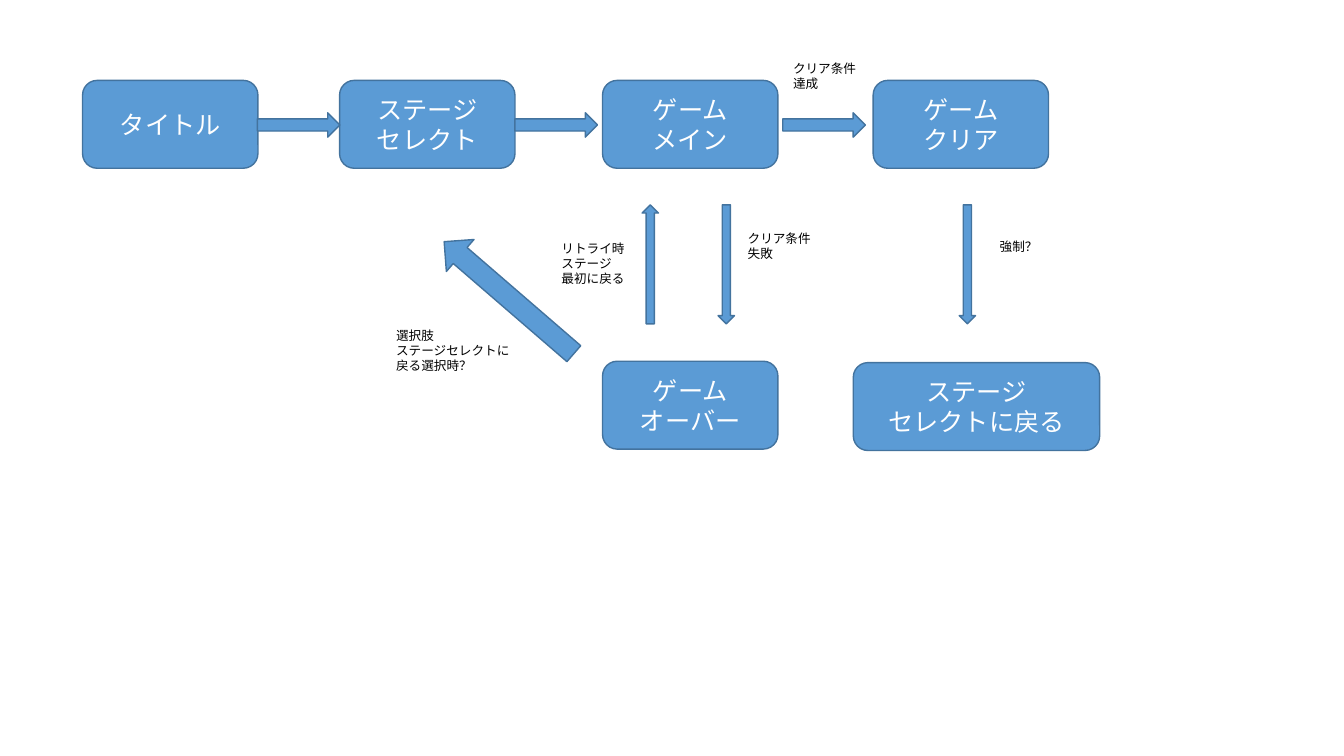
from dataclasses import dataclass

from lxml import etree
from pptx import Presentation
from pptx import util as u
from pptx.dml.color import RGBColor
from pptx.enum import shapes, text
from pptx.oxml import ns

Pt = u.Pt
FONT = "Noto Sans CJK JP"
BLUE, EDGE, WHITE, BLACK = "5B9BD5", "43739E", "FFFFFF", "000000"
BOX_W, BOX_H = 125.3, 62.8
TOP_ROW = 57.4
ARROW_ROW = TOP_ROW + BOX_H / 2 + 0.5
VERTICAL_ROW = 188.8


@dataclass
class Screen:
    label: str
    x: float
    y: float = TOP_ROW
    w: float = BOX_W


@dataclass
class Arrow:
    """A right arrow placed by its centre."""
    cx: float
    cy: float = ARROW_ROW
    length: float = 59
    thick: float = 17.4
    angle: float = 0


@dataclass
class Note:
    label: str
    x: float
    y: float
    h: float
    w: float = 64.8


def vertical(cx: float, angle: float) -> Arrow:
    return Arrow(cx, VERTICAL_ROW, 85, 11.7, angle)


SCREENS = [
    Screen("タイトル", 59),
    Screen("ステージ\nセレクト", 242.6),
    Screen("ゲーム\nメイン", 430.4),
    Screen("ゲーム\nオーバー", 430.4, 258),
    Screen("ゲーム\nクリア", 623.7),
    Screen("ステージ\nセレクトに戻る", 609.5, 259, 176),
]
ARROWS = [
    Arrow(213.3), Arrow(397.3), Arrow(588.6),
    vertical(518.8, 90), vertical(464.5, 270),
    Arrow(363.6, 212.6, 122.4, 30.2, 220.8),
    vertical(691, 90),
]
NOTES = [
    Note("クリア条件達成", 559.4, 39.6, 44.6),
    Note("強制？", 707, 167.4, 28.1),
    Note("クリア条件失敗", 527, 161.5, 44.6),
    Note("リトライ時\nステージ\n最初に戻る", 394, 168.5, 61.2),
    Note("選択肢\nステージセレクトに戻る選択時？", 275.9, 230.5, 61.2, 100),
]


def color(value: str) -> RGBColor:
    return RGBColor.from_string(value)


def write(tf, label: str, size: float, ink: str, align) -> None:
    tf.text = label
    tf.word_wrap = True
    for p in tf.paragraphs:
        p.alignment = align
        for r in p.runs:
            r.font.size = Pt(size)
            r.font.color.rgb = color(ink)
            r.font.name = FONT
            # East Asian typeface
            ea = etree.SubElement(r.font._element, ns.qn("a:ea"))
            ea.set("typeface", FONT)


def add_blue(s, kind, x: float, y: float, w: float, h: float):
    sp = s.shapes.add_shape(kind, Pt(x), Pt(y), Pt(w), Pt(h))
    sp.shadow.inherit = False
    sp.fill.solid()
    sp.fill.fore_color.rgb = color(BLUE)
    sp.line.color.rgb = color(EDGE)
    sp.line.width = Pt(1)
    return sp


def add_screen(s, box: Screen) -> None:
    sp = add_blue(s, shapes.MSO_SHAPE.ROUNDED_RECTANGLE, box.x, box.y, box.w, BOX_H)
    sp.text_frame.vertical_anchor = text.MSO_ANCHOR.MIDDLE
    write(sp.text_frame, box.label, 18, WHITE, text.PP_ALIGN.CENTER)


def add_arrow(s, arrow: Arrow) -> None:
    sp = add_blue(s, shapes.MSO_SHAPE.RIGHT_ARROW, arrow.cx - arrow.length / 2,
                  arrow.cy - arrow.thick / 2, arrow.length, arrow.thick)
    sp.rotation = arrow.angle


def add_note(s, note: Note) -> None:
    sp = s.shapes.add_textbox(Pt(note.x), Pt(note.y), Pt(note.w), Pt(note.h))
    write(sp.text_frame, note.label, 9, BLACK, text.PP_ALIGN.LEFT)
    sp.text_frame.auto_size = text.MSO_AUTO_SIZE.SHAPE_TO_FIT_TEXT


def main() -> None:
    prs = Presentation()
    prs.slide_width, prs.slide_height = Pt(960), Pt(540)
    s = prs.slides.add_slide(prs.slide_layouts[6])

    # Screens, transitions, then their conditions
    for box in SCREENS:
        add_screen(s, box)
    for arrow in ARROWS:
        add_arrow(s, arrow)
    for note in NOTES:
        add_note(s, note)

    prs.save("out.pptx")


if __name__ == "__main__":
    main()
